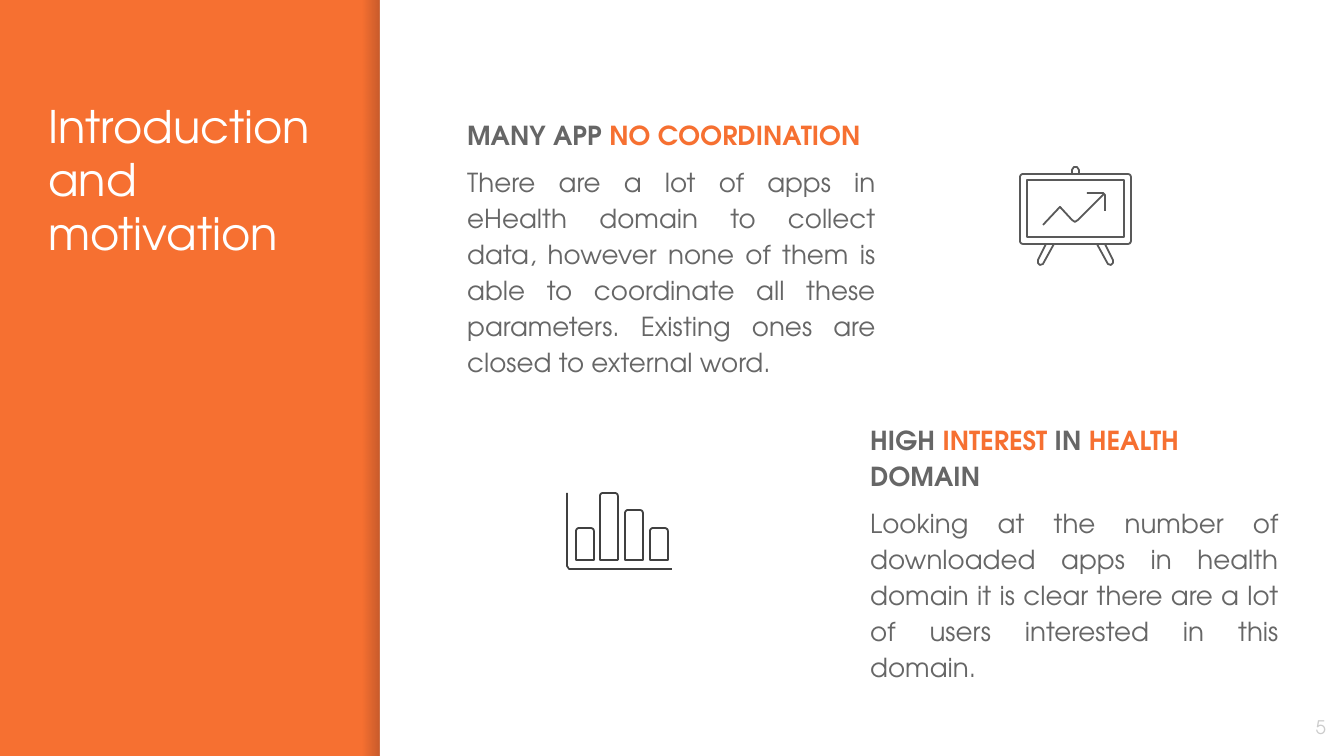
import pptx
import pptx.dml.color
import pptx.enum.shapes
import pptx.enum.text
import pptx.oxml
import pptx.oxml.ns
import pptx.util

RGB = pptx.dml.color.RGBColor
ORANGE = RGB(0xF6, 0x70, 0x31)
WHITE = RGB(0xFF, 0xFF, 0xFF)
SHADE = RGB(0x00, 0x00, 0x14)
TEXT = RGB(0x66, 0x66, 0x66)
PALE = RGB(0xCC, 0xCC, 0xCC)
BOARD = RGB(0x59, 0x59, 0x59)
CHART = RGB(0x40, 0x40, 0x40)

SHAPE = pptx.enum.shapes.MSO_SHAPE
ALIGN = pptx.enum.text.PP_ALIGN
ANCHOR = pptx.enum.text.MSO_ANCHOR
PX = 914400 / 134.4


def px(n):
    return pptx.util.Emu(round(n * PX))


class Painter:
    font = "TeX Gyre Adventor"
    line_width = pptx.util.Pt(0.96)

    def __init__(self, s):
        self.s = s
        self.shapes = s.shapes

    def group(self):
        """Send the following shapes into a new group."""
        self.shapes = self.s.shapes.add_group_shape().shapes

    def panel(self, x, y, w, h, color):
        sp = self.shapes.add_shape(SHAPE.RECTANGLE, px(x), px(y), px(w), px(h))
        sp.shadow.inherit = False
        sp.fill.solid()
        sp.fill.fore_color.rgb = color
        sp.line.fill.background()
        return sp

    def fade(self, x, y, w, h, color, alphas):
        sp = self.panel(x, y, w, h, color)
        sp.fill.gradient()
        sp.fill.gradient_angle = 0
        for stop, position in zip(sp.fill.gradient_stops, (0, 1)):
            stop.color.rgb = color
            stop.position = position
        clrs = sp._element.spPr.iter(pptx.oxml.ns.qn("a:srgbClr"))
        for clr, alpha in zip(list(clrs), alphas):
            ns = pptx.oxml.ns.nsdecls("a")
            clr.append(pptx.oxml.parse_xml(f'<a:alpha {ns} val="{alpha * 1000}"/>'))

    def text(self, x, y, w, h, paragraphs, size, anchor=ANCHOR.TOP):
        """Each paragraph is (format dict, [(text, color, bold), ...])."""
        tf = self.shapes.add_textbox(px(x), px(y), px(w), px(h)).text_frame
        inset = pptx.util.Inches(0.1)
        frame = dict(word_wrap=True, vertical_anchor=anchor, margin_left=inset,
                     margin_top=inset, margin_right=inset, margin_bottom=inset)
        for name, value in frame.items():
            setattr(tf, name, value)
        for i, (style, runs) in enumerate(paragraphs):
            p = tf.add_paragraph() if i else tf.paragraphs[0]
            for name, value in style.items():
                setattr(p, name, value)
            for words, color, bold in runs:
                r = p.add_run()
                r.text = words
                face = dict(name=self.font, size=pptx.util.Pt(size), bold=bold)
                for name, value in face.items():
                    setattr(r.font, name, value)
                r.font.color.rgb = color

    def topic(self, x, y, h, heading, body):
        runs = [(words, color, True) for words, color in heading]
        justified = dict(alignment=ALIGN.JUSTIFY, line_spacing=1.15,
                         space_before=pptx.util.Pt(6))
        self.text(x, y, 435, h, [(dict(line_spacing=1.15), runs),
                                 (justified, [(body, TEXT, False)])], 14)

    def stroke(self, sp, color):
        sp.shadow.inherit = False
        sp.fill.background()
        sp.line.color.rgb = color
        sp.line.width = self.line_width

    def outline(self, kind, x, y, w, h, color, radius=None):
        sp = self.shapes.add_shape(kind, px(x), px(y), px(w), px(h))
        if radius:
            sp.adjustments[0] = radius / min(w, h)
        self.stroke(sp, color)

    def polyline(self, points, color):
        builder = self.shapes.build_freeform(*points[0], scale=PX)
        builder.add_line_segments(points[1:], close=False)
        self.stroke(builder.convert_to_shape(), color)


def main():
    prs = pptx.Presentation()
    prs.slide_width, prs.slide_height = px(1344), px(756)
    s = prs.slides.add_slide(prs.slide_layouts[6])
    s.background.fill.solid()
    s.background.fill.fore_color.rgb = ORANGE
    art = Painter(s)

    # Side band shadow and white content area
    art.fade(363, 0, 17, 756, SHADE, (0, 20))
    art.panel(380, 0, 964, 756, WHITE)

    # Title, topics and page number
    art.text(35, 85, 301, 585,
             [({}, [("Introduction and motivation", WHITE, False)])], 24)
    art.topic(454, 101, 231,
              [("MANY APP ", TEXT), ("NO COORDINATION", ORANGE)],
              "There are a lot of apps in eHealth domain to collect data, "
              "however none of them is able to coordinate all these parameters. "
              "Existing ones are closed to external word.")
    art.text(1258, 698, 81, 58,
             [(dict(alignment=ALIGN.RIGHT), [("5", PALE, False)])],
             10, ANCHOR.MIDDLE)
    art.topic(857, 406, 249,
              [("HIGH ", TEXT), ("INTEREST ", ORANGE), ("IN ", TEXT),
               ("HEALTH", ORANGE), (" DOMAIN", TEXT)],
              "Looking at the number of downloaded apps in health domain it is "
              "clear there are a lot of users interested in this domain.")

    # Presentation board icon; the right leg mirrors the left one
    art.group()
    art.outline(SHAPE.ROUNDED_RECTANGLE, 1020, 174, 111, 70, BOARD, radius=3)
    art.outline(SHAPE.RECTANGLE, 1027, 180, 97, 57, BOARD)
    left_leg = [(1046, 244), (1038, 260), (1038, 263), (1040, 265),
                (1043, 264), (1054, 244)]
    right_leg = [(2151 - x, y) for x, y in left_leg]
    knob = [(1072, 174), (1072, 170), (1074, 167), (1077, 167),
            (1079, 170), (1079, 174)]
    trend = [(1104, 194), (1078, 220), (1075, 222), (1072, 220),
             (1060, 207), (1043, 225)]
    arrowhead = [(1087, 193), (1103, 193), (1105, 195), (1105, 211)]
    for points in (knob, left_leg, right_leg, trend, arrowhead):
        art.polyline(points, BOARD)

    # Bar chart icon
    art.group()
    art.polyline([(567, 493), (567, 566), (569, 569), (672, 569)], CHART)
    for i, top in enumerate((528, 493, 510, 528)):
        art.outline(SHAPE.ROUND_2_SAME_RECTANGLE, 576 + round(24.5 * i), top,
                    18, 560 - top, CHART, radius=3)

    prs.save("out.pptx")


if __name__ == "__main__":
    main()
